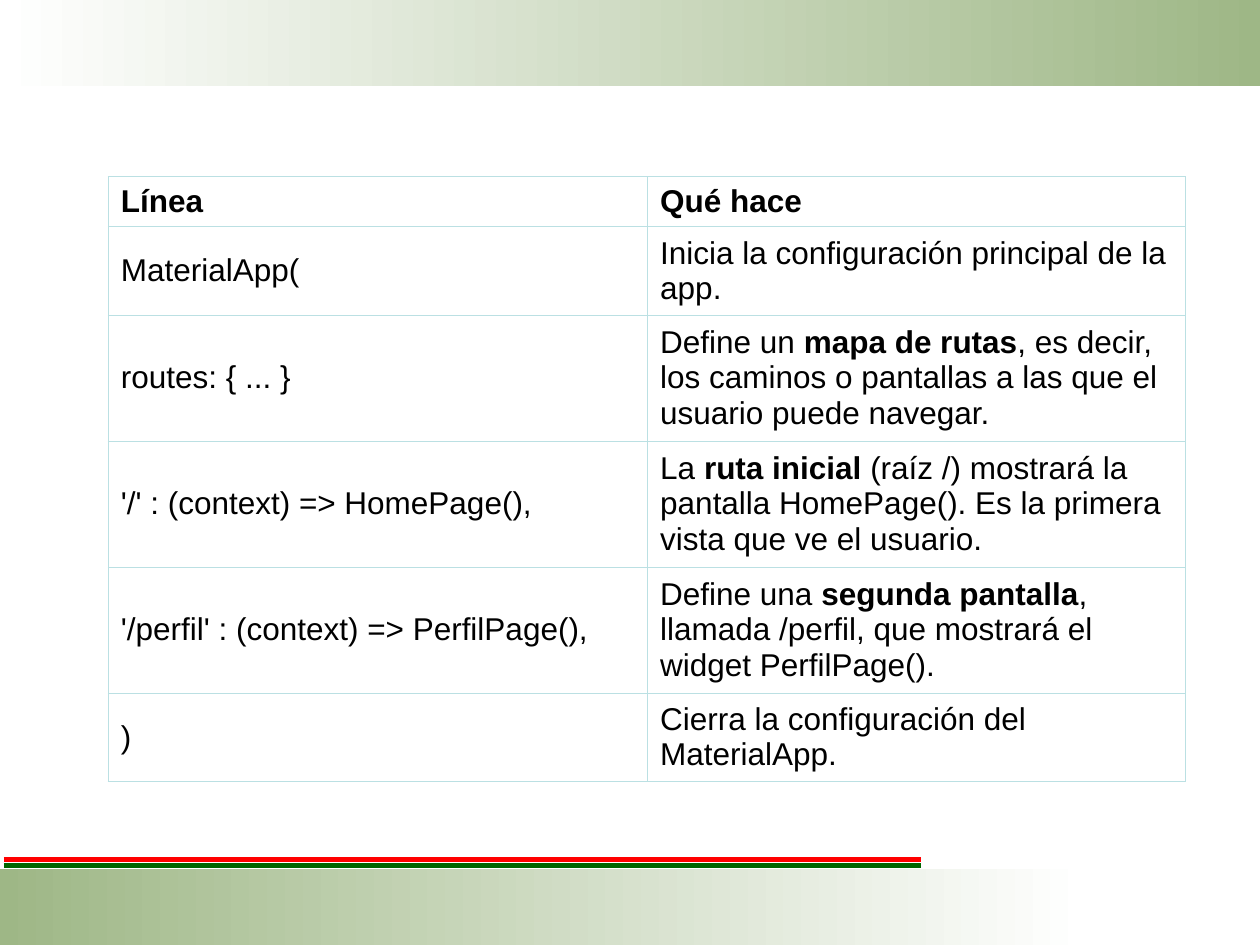
from dataclasses import dataclass

from lxml import etree
from pptx import Presentation
from pptx import util as u
from pptx.dml.color import RGBColor
from pptx.enum import shapes, text
from pptx.oxml.ns import qn


@dataclass(frozen=True)
class Theme:
    white: str = "FFFFFF"
    sage: str = "9EB786"
    red: str = "FF0000"
    green: str = "006600"
    border: str = "BBE0E3"
    ink: str = "000000"
    font: str = "Arial"
    body_pt: float = 18
    rule_pt: float = 3
    border_pt: float = 0.45


@dataclass(frozen=True)
class Band:
    top: float
    width: float
    height: float
    start: str
    end: str


@dataclass(frozen=True)
class Rule:
    y: float
    color: str


@dataclass(frozen=True)
class Row:
    height: float
    line: str
    meaning: str


T = Theme()
BANDS = [
    Band(0, 10, 0.68, T.white, T.sage),
    Band(6.9, 8.62, 0.6, T.sage, T.white),
]
RULES = [Rule(6.82, T.red), Rule(6.87, T.green)]
RULE_LEFT, RULE_RIGHT = 0.03, 7.31
TABLE_LEFT, TABLE_TOP = 0.86, 1.4
COLUMNS = (4.28, 4.27)

# Text between ** marks is bold
ROWS = [
    Row(0.4, "**Línea**", "**Qué hace**"),
    Row(0.7, "MaterialApp(", "Inicia la configuración principal de la app."),
    Row(1, "routes: { ... }",
        "Define un **mapa de rutas**, es decir, los caminos o pantallas "
        "a las que el usuario puede navegar."),
    Row(1, "'/' : (context) => HomePage(),",
        "La **ruta inicial** (raíz /) mostrará la pantalla HomePage(). "
        "Es la primera vista que ve el usuario."),
    Row(1, "'/perfil' : (context) => PerfilPage(),",
        "Define una **segunda pantalla**, llamada /perfil, "
        "que mostrará el widget PerfilPage()."),
    Row(0.7, ")", "Cierra la configuración del MaterialApp."),
]


def rgb(color: str) -> RGBColor:
    return RGBColor.from_string(color)


def draw_band(s, band: Band) -> None:
    sp = s.shapes.add_shape(
        shapes.MSO_SHAPE.RECTANGLE, 0, u.Inches(band.top),
        u.Inches(band.width), u.Inches(band.height))
    sp.shadow.inherit = False
    sp.line.fill.background()
    sp.fill.gradient()
    sp.fill.gradient_angle = 0
    for stop, color in zip(sp.fill.gradient_stops, (band.start, band.end)):
        stop.color.rgb = rgb(color)


def draw_rule(s, rule: Rule) -> None:
    y = u.Inches(rule.y)
    line = s.shapes.add_connector(
        shapes.MSO_CONNECTOR.STRAIGHT,
        u.Inches(RULE_LEFT), y, u.Inches(RULE_RIGHT), y)
    line.line.color.rgb = rgb(rule.color)
    line.line.width = u.Pt(T.rule_pt)
    etree.SubElement(line._element.spPr, qn("a:effectLst"))


def set_borders(cell) -> None:
    tc_pr = cell._tc.get_or_add_tcPr()
    for side in ("lnL", "lnR", "lnT", "lnB"):
        ln = etree.SubElement(tc_pr, qn(f"a:{side}"), w=str(u.Pt(T.border_pt)))
        fill = etree.SubElement(ln, qn("a:solidFill"))
        etree.SubElement(fill, qn("a:srgbClr"), val=T.border)


def fill_cell(cell, content: str) -> None:
    set_borders(cell)
    cell.fill.solid()
    cell.fill.fore_color.rgb = rgb(T.white)
    cell.vertical_anchor = text.MSO_ANCHOR.MIDDLE
    p = cell.text_frame.paragraphs[0]
    for i, part in enumerate(content.split("**")):
        if not part:
            continue
        r = p.add_run()
        r.text = part
        r.font.name = T.font
        r.font.size = u.Pt(T.body_pt)
        r.font.bold = i % 2 == 1
        r.font.color.rgb = rgb(T.ink)


def draw_table(s, rows: list[Row]) -> None:
    frame = s.shapes.add_table(
        len(rows), len(COLUMNS), u.Inches(TABLE_LEFT), u.Inches(TABLE_TOP),
        u.Inches(sum(COLUMNS)), u.Inches(sum(row.height for row in rows)))
    table = frame.table
    table.first_row = table.horz_banding = False
    for column, width in zip(table.columns, COLUMNS):
        column.width = u.Inches(width)
    for i, row in enumerate(rows):
        table.rows[i].height = u.Inches(row.height)
        for j, content in enumerate((row.line, row.meaning)):
            fill_cell(table.cell(i, j), content)


def main() -> None:
    prs = Presentation()
    prs.slide_width, prs.slide_height = u.Inches(10), u.Inches(7.5)
    s = prs.slides.add_slide(prs.slide_layouts[6])

    # Gradient bands and coloured rules
    for band in BANDS:
        draw_band(s, band)
    for rule in RULES:
        draw_rule(s, rule)

    # Explanation of each code line
    draw_table(s, ROWS)
    prs.save("out.pptx")


if __name__ == "__main__":
    main()
